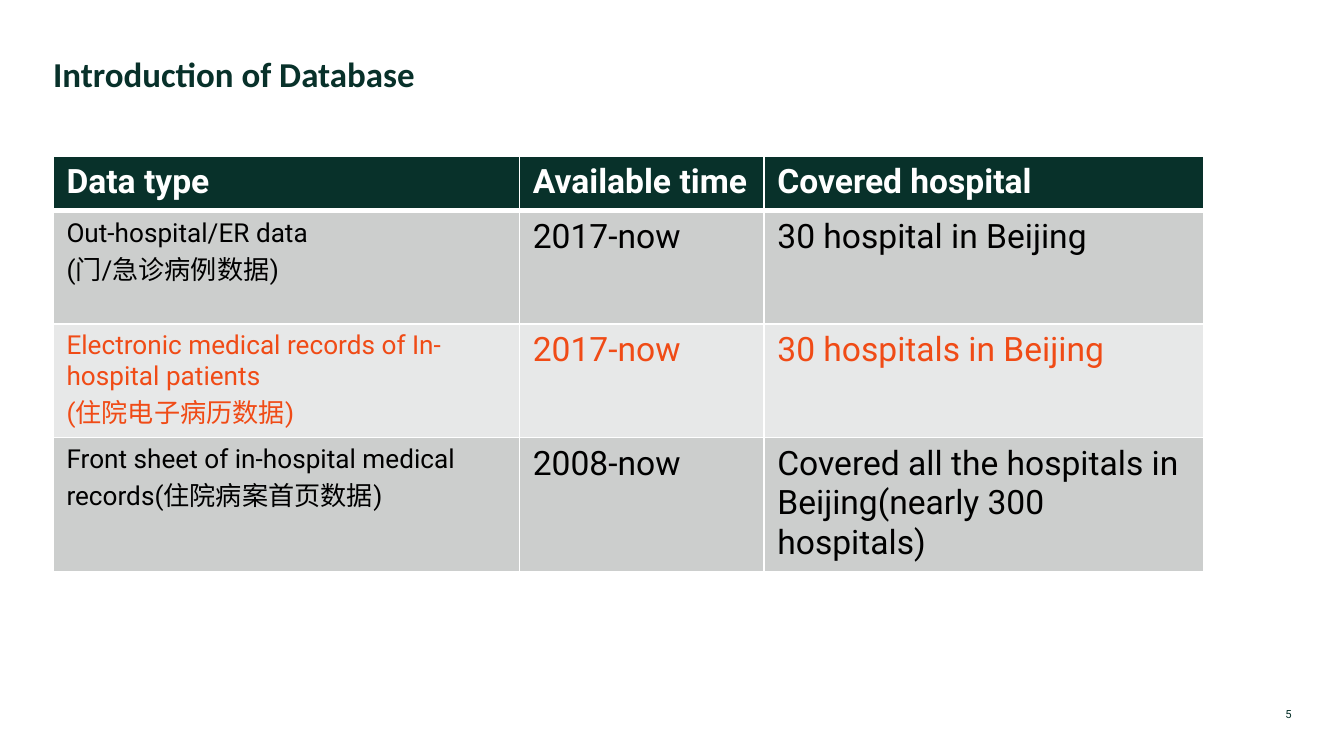
"""Build the slide that introduces the hospital database."""
from dataclasses import dataclass

from lxml.etree import SubElement
from pptx import Presentation
from pptx.dml.color import RGBColor
from pptx.enum.text import MSO_ANCHOR, PP_ALIGN
from pptx.oxml.ns import qn
from pptx.util import Inches, Pt

COLORS = {
    "green": "08312A",
    "white": "FFFFFF",
    "black": "000000",
    "orange": "F04B16",
    "grey": "CCCECD",
    "pale": "E7E8E8",
}
SLIDE_WIDTH = Inches(10)
SLIDE_HEIGHT = SLIDE_WIDTH * 9 // 16
GRID_COLUMNS = 100
MARGIN = 3.95
COLUMN_SPANS = (34.7, 18.2, 32.7)


@dataclass(frozen=True)
class Record:
    texts: tuple[str, str, str]
    span: float
    fill: str
    color: str = "black"
    first_size: float = 14
    bold: bool = False
    bottom_line: float = 1


RECORDS = (
    Record(("Data type", "Available time", "Covered hospital"), 4.1,
           "green", "white", first_size=18, bold=True, bottom_line=3),
    Record(("Out-hospital/ER data\n(门/急诊病例数据)", "2017-now",
            "30 hospital in Beijing"), 8.4, "grey"),
    Record(("Electronic medical records of In-hospital patients\n(住院电子病历数据)",
            "2017-now", "30 hospitals in Beijing"), 8.45, "pale", "orange"),
    Record(("Front sheet of in-hospital medical records(住院病案首页数据)", "2008-now",
            "Covered all the hospitals in Beijing(nearly 300 hospitals)"), 9.7, "grey"),
)


def grid(span: float) -> int:
    return round(SLIDE_WIDTH * span / GRID_COLUMNS)


def rgb(name: str) -> RGBColor:
    return RGBColor.from_string(COLORS[name])


def write(frame, text: str, *, size: float, color: str, font: str = "Roboto",
          bold: bool = False, align=PP_ALIGN.LEFT) -> None:
    frame.word_wrap = True
    frame.text = text
    for paragraph in frame.paragraphs:
        paragraph.alignment = align
        for run in paragraph.runs:
            run.font.name = font
            run.font.size = Pt(size)
            run.font.bold = bold
            run.font.color.rgb = rgb(color)


def add_label(slide, text: str, left: float, top: float, width: float, height: float,
              anchor=MSO_ANCHOR.TOP, **text_format) -> None:
    label = slide.shapes.add_textbox(*map(grid, (left, top, width, height)))
    frame = label.text_frame
    frame.margin_left = frame.margin_top = frame.margin_right = frame.margin_bottom = 0
    frame.vertical_anchor = anchor
    write(frame, text, **text_format)


def add_borders(cell, top: float, bottom: float) -> None:
    properties = cell._tc.get_or_add_tcPr()
    for side, points in (("L", 1), ("R", 1), ("T", top), ("B", bottom)):
        line = SubElement(properties, qn(f"a:ln{side}"), w=str(Pt(points)))
        SubElement(SubElement(line, qn("a:solidFill")), qn("a:srgbClr"), val=COLORS["white"])


def add_records(slide, records: tuple[Record, ...], top: float) -> None:
    height = sum(record.span for record in records)
    table = slide.shapes.add_table(
        len(records), len(COLUMN_SPANS), grid(MARGIN), grid(top),
        grid(sum(COLUMN_SPANS)), grid(height)).table
    for column, span in zip(table.columns, COLUMN_SPANS):
        column.width = grid(span)
    line_above = 1
    for row, record in zip(table.rows, records):
        row.height = grid(record.span)
        for index, (cell, text) in enumerate(zip(row.cells, record.texts)):
            add_borders(cell, line_above, record.bottom_line)
            cell.fill.solid()
            cell.fill.fore_color.rgb = rgb(record.fill)
            write(cell.text_frame, text, size=18 if index else record.first_size,
                  color=record.color, bold=record.bold)
        line_above = record.bottom_line


def main() -> None:
    presentation = Presentation()
    presentation.slide_width, presentation.slide_height = SLIDE_WIDTH, SLIDE_HEIGHT
    slide = presentation.slides.add_slide(presentation.slide_layouts[6])
    add_label(slide, "Introduction of Database", MARGIN, 3.9, 92.1, 5.9,
              size=18.75, color="green", font="Calibri", bold=True)
    add_records(slide, RECORDS, top=11.6)
    add_label(slide, "5", 93.7, 51.25, 2.4, 2.4, anchor=MSO_ANCHOR.BOTTOM,
              size=6, color="green", align=PP_ALIGN.RIGHT)
    presentation.save("out.pptx")


if __name__ == "__main__":
    main()
